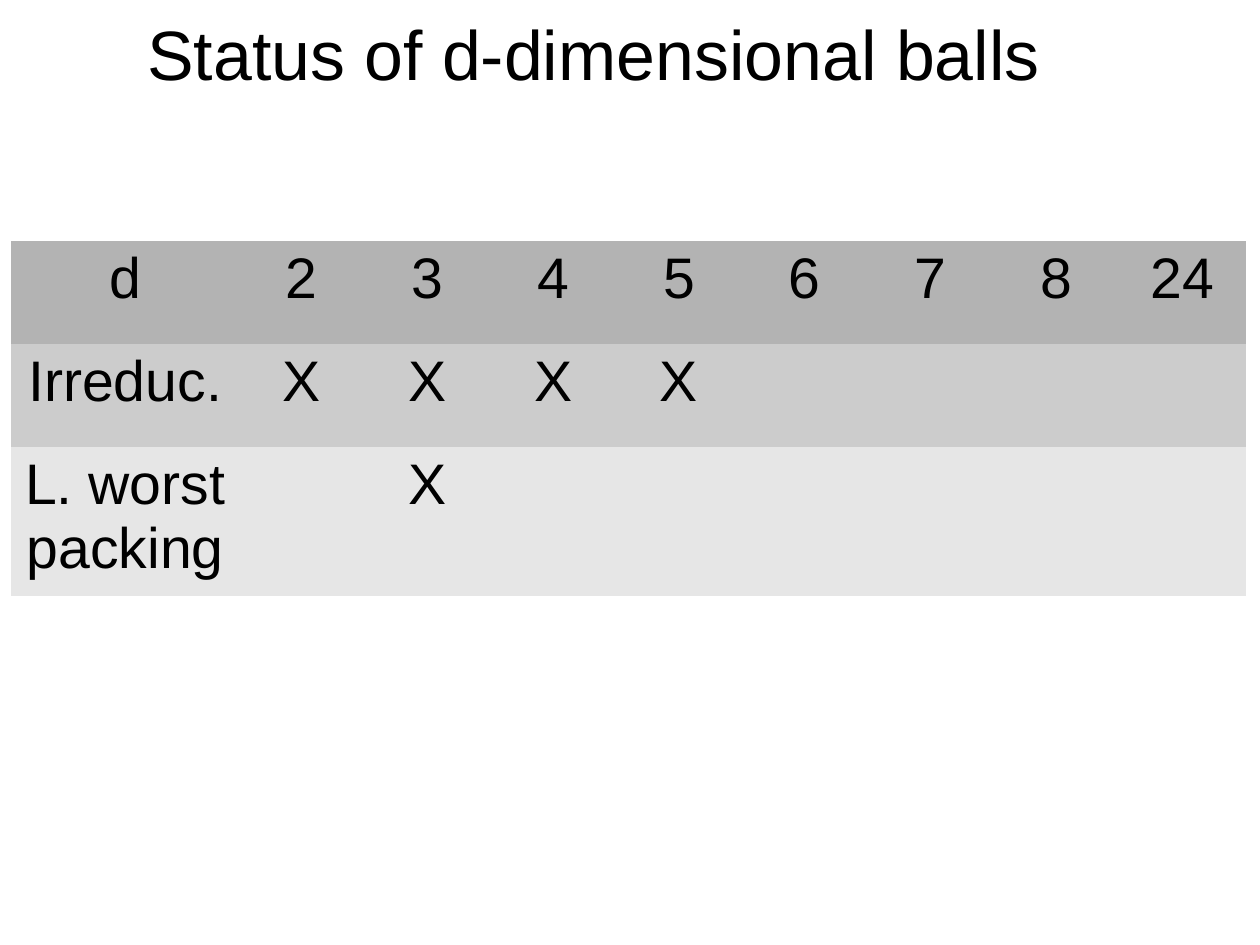
from pptx import Presentation
from pptx.dml.color import RGBColor
from pptx.enum import text
from pptx.util import Inches, Pt

BLACK = RGBColor(0x00, 0x00, 0x00)
ROW_FILLS = [
    RGBColor(0xB3, 0xB3, 0xB3),
    RGBColor(0xCC, 0xCC, 0xCC),
    RGBColor(0xE6, 0xE6, 0xE6),
]
PLAIN_TABLE_STYLE = "{2D5ABB26-0587-4C30-8999-92F81FD0307C}"
CM_PER_INCH = 2.54

DIMENSIONS = ["2", "3", "4", "5", "6", "7", "8", "24"]
COLUMN_WIDTHS = [1.99] + [1.1] * 7 + [1.11]
RESULTS = {
    "Irreduc.": {"2", "3", "4", "5"},
    "L. worst\npacking": {"3"},
}


def write_text(frame, content, size, font="Arial", color=BLACK,
               align=text.PP_ALIGN.CENTER):
    frame.word_wrap = True
    paragraph = frame.paragraphs[0]
    paragraph.text = content
    paragraph.alignment = align
    for run in paragraph.runs:
        run.font.name = font
        run.font.size = Pt(size)
        run.font.bold = False
        run.font.color.rgb = color


def add_title(slide, content):
    title = slide.shapes.title
    title.left, title.top = Inches(0), Inches(0.04)
    title.width, title.height = Inches(10.4), Inches(0.78)
    frame = title.text_frame
    write_text(frame, content, size=44)
    frame.vertical_anchor = text.MSO_ANCHOR.TOP
    frame.auto_size = text.MSO_AUTO_SIZE.SHAPE_TO_FIT_TEXT


def add_status_table(slide, rows):
    frame = slide.shapes.add_table(
        len(rows), len(rows[0]),
        Inches(0.1), Inches(2.11), Inches(10.8), Inches(3.01))
    frame.element.xpath(".//a:tableStyleId")[0].text = PLAIN_TABLE_STYLE
    table = frame.table
    table.first_row = False
    table.horz_banding = False
    for column, width in zip(table.columns, COLUMN_WIDTHS):
        column.width = Inches(width)
    for row, values, fill in zip(table.rows, rows, ROW_FILLS):
        row.height = Inches(0.9)
        for cell, value in zip(row.cells, values):
            cell.fill.solid()
            cell.fill.fore_color.rgb = fill
            if value:
                write_text(cell.text_frame, value, size=36)
    frame.height = Inches(3.01)


def main():
    presentation = Presentation()
    presentation.slide_width = Inches(28 / CM_PER_INCH)
    presentation.slide_height = Inches(21 / CM_PER_INCH)
    slide = presentation.slides.add_slide(presentation.slide_layouts[5])
    rows = [["d"] + DIMENSIONS]
    for label, solved in RESULTS.items():
        rows.append([label] + ["X" if d in solved else "" for d in DIMENSIONS])
    add_status_table(slide, rows)
    add_title(slide, "Status of d-dimensional balls")
    presentation.save("out.pptx")


if __name__ == "__main__":
    main()
